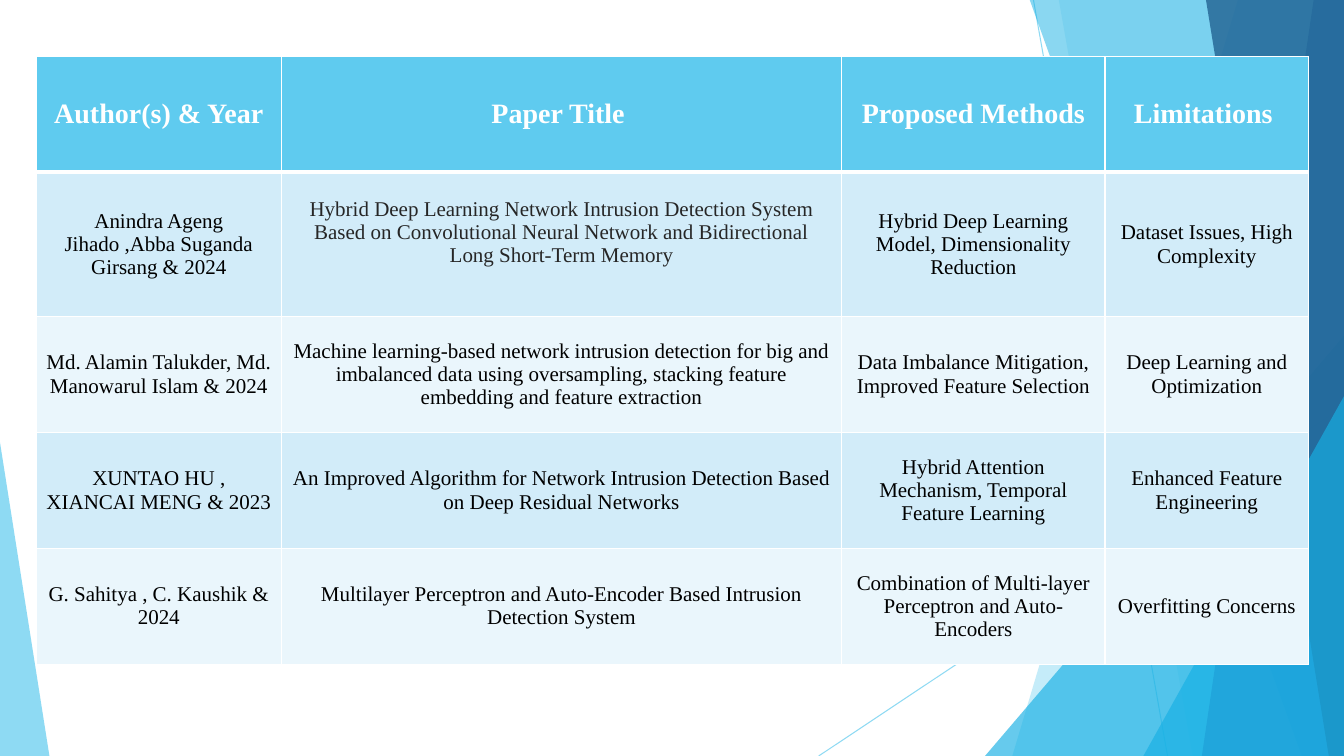
from lxml.etree import SubElement
from pptx import Presentation
from pptx.dml.color import RGBColor
from pptx.enum.shapes import MSO_CONNECTOR, MSO_SHAPE
from pptx.enum.text import MSO_ANCHOR, PP_ALIGN
from pptx.oxml.ns import qn
from pptx.util import Inches, Pt

COLORS = {
    "sky": "5FCBEF",
    "cyan": "17B0E4",
    "blue": "2E83C3",
    "navy": "226292",
    "band": "D2ECF9",
    "pale": "EAF6FC",
    "white": "FFFFFF",
    "black": "000000",
    "charcoal": "262626",
}
WIDTH, HEIGHT, TOP = 13.33, 7.5, -0.01

COLUMN_WIDTHS = [2.43, 5.56, 2.61, 2.02]
ROW_HEIGHTS = [1.15, 1.43, 1.15, 1.15, 1.15]
PAPERS = [
    ["Author(s) & Year", "Paper Title ", "Proposed Methods", "Limitations "],
    ["Anindra Ageng Jihado ,Abba Suganda Girsang & 2024",
     "Hybrid Deep Learning Network Intrusion Detection System Based on "
     "Convolutional Neural Network and Bidirectional Long Short-Term Memory",
     "Hybrid Deep Learning Model, Dimensionality Reduction",
     "Dataset Issues, High Complexity"],
    ["Md. Alamin Talukder, Md. Manowarul Islam & 2024",
     "Machine learning‑based network intrusion detection for big and imbalanced "
     "data using oversampling, stacking feature embedding and feature extraction",
     "Data Imbalance Mitigation, Improved Feature Selection",
     "Deep Learning and Optimization"],
    ["XUNTAO HU , XIANCAI MENG & 2023",
     "An Improved Algorithm for Network Intrusion Detection Based on Deep Residual Networks",
     "Hybrid Attention Mechanism, Temporal Feature Learning",
     "Enhanced Feature Engineering"],
    ["G. Sahitya , C. Kaushik & 2024",
     "Multilayer Perceptron and Auto-Encoder Based Intrusion Detection System",
     "Combination of Multi-layer Perceptron and Auto-Encoders",
     "Overfitting Concerns"],
]


class SlideBuilder:
    font = "Times New Roman"

    def __init__(self, slide):
        self.slide = slide

    def color(self, name):
        return RGBColor.from_string(COLORS[name])

    def set_opacity(self, element, percent):
        color_element = next(element.iter(qn("a:srgbClr")))
        SubElement(color_element, qn("a:alpha"), val=str(percent * 1000))

    def paint(self, shape, color, opacity):
        shape.shadow.inherit = False
        shape.line.fill.background()
        shape.fill.solid()
        shape.fill.fore_color.rgb = self.color(color)
        self.set_opacity(shape.fill._xPr, opacity)

    def line(self, start, end, color, opacity):
        connector = self.slide.shapes.add_connector(
            MSO_CONNECTOR.STRAIGHT, *map(Inches, start + end))
        connector.line.width = Pt(0.75)
        connector.line.color.rgb = self.color(color)
        properties = connector._element.spPr
        self.set_opacity(properties, opacity)
        SubElement(properties, qn("a:effectLst"))

    def right_panel(self, top_x, bottom_x, color, opacity):
        corners = [(WIDTH, TOP), (WIDTH, HEIGHT), (bottom_x, HEIGHT)]
        builder = self.slide.shapes.build_freeform(Inches(top_x), Inches(TOP))
        builder.add_line_segments([(Inches(x), Inches(y)) for x, y in corners], close=True)
        self.paint(builder.convert_to_shape(), color, opacity)

    def triangle(self, left, top, width, apex, color, opacity):
        shape = self.slide.shapes.add_shape(
            MSO_SHAPE.ISOSCELES_TRIANGLE,
            *map(Inches, (left, top, width, HEIGHT - top)))
        shape.adjustments[0] = apex
        self.paint(shape, color, opacity)

    def border(self, cell, side, points):
        properties = cell._tc.get_or_add_tcPr()
        line = SubElement(properties, qn(f"a:ln{side}"), w=str(Pt(points)))
        fill = SubElement(line, qn("a:solidFill"))
        SubElement(fill, qn("a:srgbClr"), val=COLORS["white"])

    def cell(self, cell, text, fill, color, size, bold, bottom_border):
        for side, points in zip("LRTB", (1, 1, 1, bottom_border)):
            self.border(cell, side, points)
        cell.fill.solid()
        cell.fill.fore_color.rgb = self.color(fill)
        cell.vertical_anchor = MSO_ANCHOR.MIDDLE
        paragraph = cell.text_frame.paragraphs[0]
        paragraph.alignment = PP_ALIGN.CENTER
        run = paragraph.add_run()
        run.text = text
        run.font.name = self.font
        run.font.size = Pt(size)
        run.font.bold = bold
        run.font.color.rgb = self.color(color)

    def table(self, left, top, rows):
        frame = self.slide.shapes.add_table(
            len(rows), len(COLUMN_WIDTHS), Inches(left), Inches(top),
            Inches(sum(COLUMN_WIDTHS)), Inches(sum(ROW_HEIGHTS)))
        table = frame.table
        for column, width in zip(table.columns, COLUMN_WIDTHS):
            column.width = Inches(width)
        for row, height in zip(table.rows, ROW_HEIGHTS):
            row.height = Inches(height)
        for row_index, texts in enumerate(rows):
            for column_index, text in enumerate(texts):
                cell = table.cell(row_index, column_index)
                if row_index == 0:
                    self.cell(cell, text, "sky", "white", 20, True, 3)
                else:
                    fill = "band" if row_index % 2 else "pale"
                    self.cell(cell, text, fill, "black", 15, False, 1)
        return table


def main():
    presentation = Presentation()
    presentation.slide_width = Inches(WIDTH)
    presentation.slide_height = Inches(HEIGHT)
    builder = SlideBuilder(presentation.slides.add_slide(presentation.slide_layouts[6]))

    builder.line((10.25, 0), (11.58, HEIGHT), "sky", 70)
    builder.line((WIDTH, 4.03), (8.12, HEIGHT), "sky", 70)
    builder.right_panel(12.28, 10.04, "sky", 36)
    builder.right_panel(10.5, 11.83, "sky", 20)
    builder.triangle(9.77, 3.33, 3.56, 1, "cyan", 66)
    builder.right_panel(10.21, 12.91, "cyan", 50)
    builder.right_panel(13.03, 11.92, "blue", 70)
    builder.right_panel(11.96, 13.18, "navy", 80)
    builder.triangle(11.34, 3.93, 1.99, 1, "cyan", 66)
    builder.triangle(0, 4.39, 0.49, 0, "sky", 70)

    table = builder.table(0.36, 0.56, PAPERS)
    hybrid_title = table.cell(1, 1)
    hybrid_title.margin_bottom = Inches(0.29)
    hybrid_run = hybrid_title.text_frame.paragraphs[0].runs[0]
    hybrid_run.font.color.rgb = builder.color("charcoal")

    presentation.save("out.pptx")


if __name__ == "__main__":
    main()
